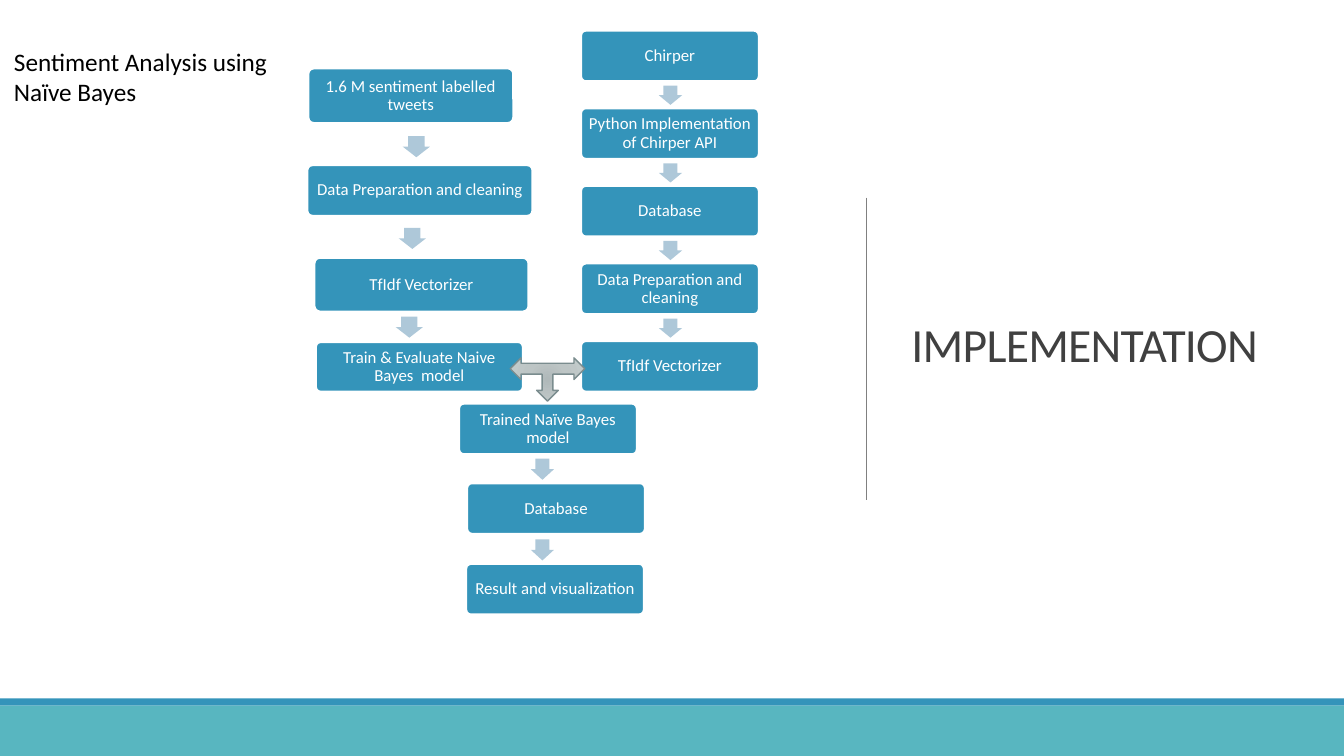
from dataclasses import dataclass

import lxml.etree
import pptx
import pptx.dml.color
import pptx.enum.shapes
import pptx.enum.text
import pptx.oxml
import pptx.oxml.ns
import pptx.util

Inches = pptx.util.Inches
Pt = pptx.util.Pt
RGB = pptx.dml.color.RGBColor
Kind = pptx.enum.shapes.MSO_SHAPE
MIDDLE = pptx.enum.text.MSO_ANCHOR.MIDDLE
Align = pptx.enum.text.PP_ALIGN

BLUE = RGB(0x34, 0x94, 0xBA)
TEAL = RGB(0x58, 0xB6, 0xC0)
PALE = RGB(0xAE, 0xC8, 0xD9)
GRAY = RGB(0x80, 0x80, 0x80)
SLATE = RGB(0x7A, 0x8C, 0x8E)
DARK = RGB(0x40, 0x40, 0x40)
BLACK = RGB(0, 0, 0)
WHITE = RGB(0xFF, 0xFF, 0xFF)
FONT = "Calibri"


@dataclass
class Step:
    text: str
    left: float
    top: float
    width: float = 1.77
    height: float = 0.51
    edge: float = 2


@dataclass
class Arrow:
    mid: float
    top: float
    width: float = 0.23
    height: float = 0.21


deck = pptx.Presentation()
deck.slide_width, deck.slide_height = Inches(13.33), Inches(7.5)
slide = deck.slides.add_slide(deck.slide_layouts[5])


def add(kind: Kind, left: float, top: float, width: float, height: float):
    shape = slide.shapes.add_shape(
        kind, Inches(left), Inches(top), Inches(width), Inches(height))
    shape.shadow.inherit = False
    return shape


def paint(shape, color: RGB) -> None:
    shape.fill.solid()
    shape.fill.fore_color.rgb = color
    shape.line.fill.background()


def write(frame, text: str, size: float, color: RGB, align: Align,
          space: float = 1.0) -> None:
    frame.word_wrap = True
    frame.text = text
    para = frame.paragraphs[0]
    para.alignment = align
    para.line_spacing = space
    para.font.name, para.font.size = FONT, Pt(size)
    para.font.color.rgb = color


def draw_step(step: Step) -> None:
    box = add(Kind.ROUNDED_RECTANGLE, step.left, step.top, step.width, step.height)
    box.adjustments[0] = 0.1
    paint(box, BLUE)
    box.line.color.rgb = WHITE
    box.line.width = Pt(step.edge)
    frame = box.text_frame
    frame.margin_left = frame.margin_right = Inches(0.05)
    frame.margin_top = frame.margin_bottom = Inches(0.05)
    frame.vertical_anchor = MIDDLE
    write(frame, step.text, 12, WHITE, Align.CENTER, 0.9)


def draw_arrow(arrow: Arrow) -> None:
    shape = add(Kind.DOWN_ARROW, arrow.mid - arrow.width / 2, arrow.top,
                arrow.width, arrow.height)
    shape.adjustments[0], shape.adjustments[1] = 0.6, 0.5
    paint(shape, PALE)


# Title
title = slide.shapes.title
title.left, title.top = Inches(8.94), Inches(0.69)
title.width, title.height = Inches(3.69), Inches(5.53)
title.text_frame.vertical_anchor = MIDDLE
write(title.text_frame, "IMPLEMENTATION", 34, DARK, Align.LEFT, 0.85)
title.text_frame.paragraphs[0].runs[0].font._element.set("spc", "-50")

# Divider
rule = slide.shapes.add_connector(
    pptx.enum.shapes.MSO_CONNECTOR.STRAIGHT,
    Inches(8.59), Inches(1.96), Inches(8.59), Inches(4.96))
rule.line.color.rgb = GRAY
rule.line.width = Pt(0.5)
lxml.etree.SubElement(rule._element.spPr, pptx.oxml.ns.qn("a:effectLst"))

# Footer bands
for top, height, color in ((6.93, 0.07, BLUE), (7, 0.5, TEAL)):
    paint(add(Kind.RECTANGLE, 0, top, 13.33, height), color)

# Live data column
LIVE = ("Chirper", "Python Implementation of Chirper API", "Database",
        "Data Preparation and cleaning", "TfIdf Vectorizer")
PITCH = 0.77
steps = [Step(text, 5.76, 0.3 + i * PITCH) for i, text in enumerate(LIVE)]
arrows = [Arrow(6.65, 0.85 + i * PITCH, height=0.19) for i in range(len(LIVE) - 1)]

# Training column
steps += [
    Step("1.6 M sentiment labelled tweets", 3.06, 0.68, 2.03, 0.54, 1.25),
    Step("Data Preparation and cleaning", 3.05, 1.64, 2.23, 0.5, 1.25),
    Step("TfIdf Vectorizer", 3.12, 2.56, 2.12, 0.53, 1.25),
    Step("Train & Evaluate Naive Bayes  model", 3.13, 3.39, 2.06, 0.5),
]
arrows += [Arrow(mid, top, 0.27)
           for mid, top in ((4.13, 1.35), (4.09, 2.26), (4.06, 3.14))]

# Result column
steps += [
    Step("Trained Naïve Bayes model", 4.55, 4),
    Step("Database", 4.63, 4.79),
    Step("Result and visualization", 4.62, 5.59),
]
arrows += [Arrow(5.38, top) for top in (4.55, 5.35)]

for step in steps:
    draw_step(step)
for arrow in arrows:
    draw_arrow(arrow)

# Junction of both columns
join = add(Kind.LEFT_RIGHT_UP_ARROW, 5.06, 3.55, 0.74, 0.43)
join.rotation = 180
join.line.color.rgb = SLATE
join.line.width = Pt(1)
join.fill.gradient()
old = join._element.spPr.find(pptx.oxml.ns.qn("a:gradFill"))
stops = "".join(f'<a:gs pos="{pos}"><a:srgbClr val="{val}"/></a:gs>' for pos, val in
                ((0, "B0B9BA"), (45000, "BDC5C5"), (100000, "C3CCCC")))
old.getparent().replace(old, pptx.oxml.parse_xml(
    f'<a:gradFill {pptx.oxml.ns.nsdecls("a")}><a:gsLst>{stops}</a:gsLst>'
    '<a:path path="circle"><a:fillToRect l="100000" t="100000" r="100000" b="100000"/>'
    '</a:path></a:gradFill>'))

# Caption
note = slide.shapes.add_textbox(Inches(0.04), Inches(0.41), Inches(3.22), Inches(0.71))
write(note.text_frame, "Sentiment Analysis using Naïve Bayes", 18, BLACK, Align.LEFT)

deck.save("out.pptx")
